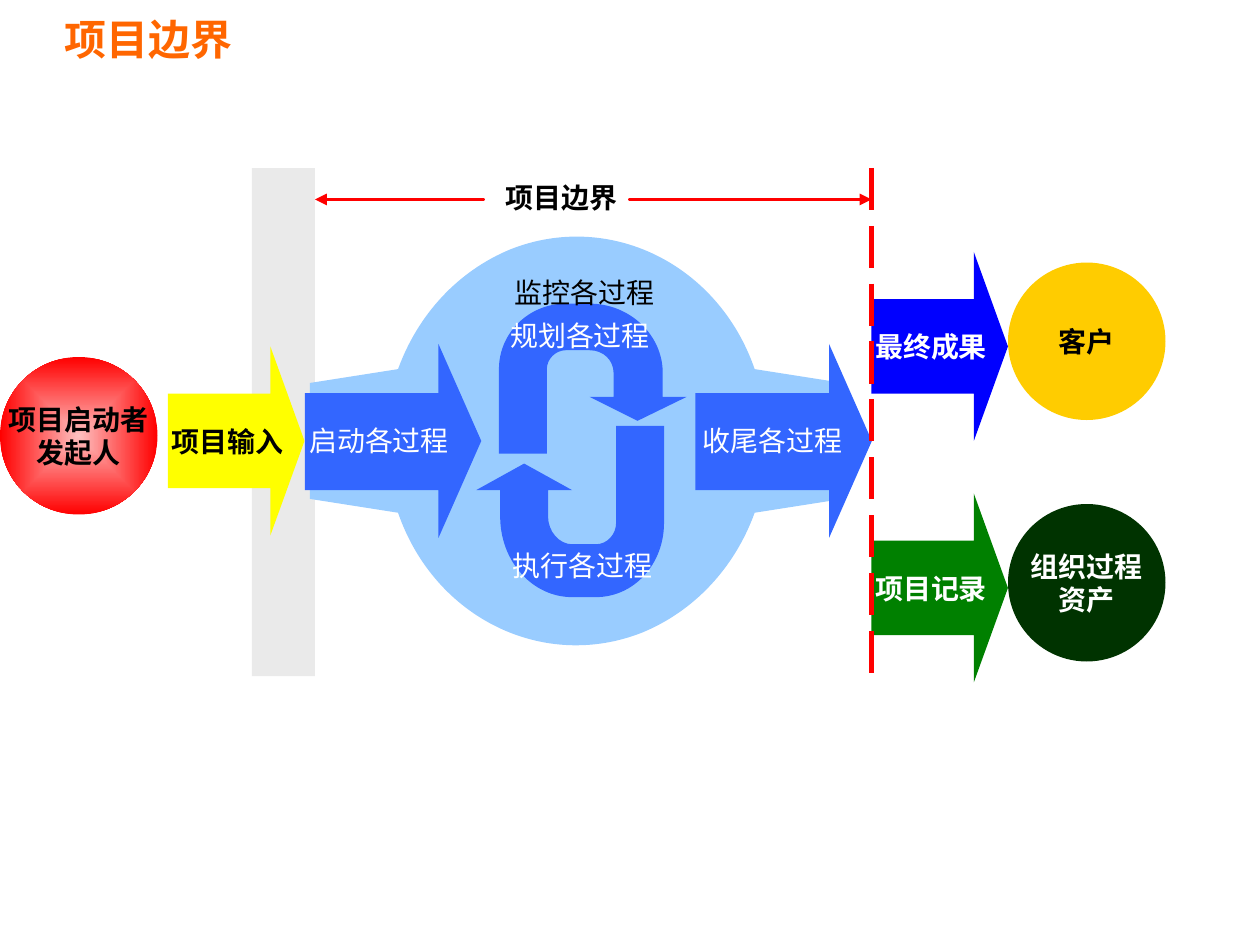
from lxml import etree
from pptx import Presentation
from pptx.dml.color import RGBColor
from pptx.enum.dml import MSO_LINE
from pptx.enum.shapes import MSO_CONNECTOR, MSO_SHAPE
from pptx.enum.text import MSO_ANCHOR, PP_ALIGN
from pptx.oxml import parse_xml
from pptx.oxml.ns import nsdecls, qn
from pptx.util import Inches, Pt

RECTANGLE, ELLIPSE, ARROW = MSO_SHAPE.RECTANGLE, MSO_SHAPE.OVAL, MSO_SHAPE.RIGHT_ARROW
STRAIGHT, LONG_DASH = MSO_CONNECTOR.STRAIGHT, MSO_LINE.LONG_DASH
LEFT, CENTER = PP_ALIGN.LEFT, PP_ALIGN.CENTER
MIDDLE, TOP = MSO_ANCHOR.MIDDLE, MSO_ANCHOR.TOP

THEME = {
    "title": "FF6600", "black": "000000", "white": "FFFFFF", "red": "FF0000",
    "pink": "FEC0C0", "band": "EAEAEA", "cycle": "99CCFF", "process": "3366FF",
    "input": "FFFF00", "result": "0000FF", "record": "008000",
    "customer": "FFCC00", "assets": "003300",
    "title_size": 24, "text_size": 16,
    "label_font": "Arial", "process_font": "Noto Sans CJK SC",
}

COLUMNS, ROWS = 120, 90
WIDTH, HEIGHT = Inches(10), Inches(7.5)
NODE_SIZE = {ARROW: (13, 18), ELLIPSE: (15, 15)}
BOUNDARY_COLUMN = 83

TITLE = "项目边界"
BOUNDARY_LABEL = "项目边界"
NODES = [
    (ARROW, 16, 33, "项目输入", "input", "black"),
    (ELLIPSE, 0, 34, "项目启动者\n发起人", "red", "black"),
    (ARROW, BOUNDARY_COLUMN, 24, "最终成果", "result", "white"),
    (ARROW, BOUNDARY_COLUMN, 47, "项目记录", "record", "white"),
    (ELLIPSE, 96, 25, "客户", "customer", "black"),
    (ELLIPSE, 96, 48, "组织过程\n资产", "assets", "white"),
]
PROCESS_LABELS = [
    (29.45, 40.3, "启动各过程", "white"),
    (66.9, 40.3, "收尾各过程", "white"),
    (48.6, 30.3, "规划各过程", "white"),
    (48.85, 52.2, "执行各过程", "white"),
    (49, 26.2, "监控各过程", "black"),
]
BOUNDARY_ARROWS = [(30, 46), (BOUNDARY_COLUMN, 60)]

CYCLE_CENTER = (4.575, 3.5)
CYCLE_HALF = [
    (5.99, 2.93), (5.7, 2.09, 4.83, 1.67, 4.05, 1.98),
    (3.64, 2.15, 3.32, 2.49, 3.16, 2.93), (2.46, 3.04), (2.46, 3.96),
]
EXECUTING_TURN = [
    (4.73, 4.32), (4.82, 4.32, 4.89, 4.24, 4.89, 4.15), (4.89, 3.38),
    (5.27, 3.38), (5.27, 4.15), (5.27, 4.48, 5.03, 4.74, 4.73, 4.74),
    (4.54, 4.74), (4.23, 4.74, 3.97, 4.46, 3.97, 4.1), (3.97, 3.89),
    (3.78, 3.89), (4.16, 3.68), (4.54, 3.89), (4.35, 3.89), (4.35, 4.1),
    (4.35, 4.22, 4.44, 4.32, 4.54, 4.32),
]
PLANNING_TURN = [
    (4.49, 2.78), (4.41, 2.78, 4.34, 2.85, 4.34, 2.93), (4.34, 3.6),
    (3.96, 3.6), (3.96, 2.93), (3.96, 2.64, 4.2, 2.41, 4.49, 2.41),
    (4.68, 2.41), (5, 2.41, 5.26, 2.66, 5.26, 2.96), (5.26, 3.15),
    (5.45, 3.15), (5.06, 3.34), (4.68, 3.15), (4.87, 3.15), (4.87, 2.96),
    (4.87, 2.86, 4.79, 2.78, 4.68, 2.78),
]
PROCESS_ARROW_LEFTS = (2.42, 5.52)


def color(name):
    return RGBColor.from_string(THEME[name])


def column(value):
    return round(WIDTH * value / COLUMNS)


def row(value):
    return round(HEIGHT * value / ROWS)


def box(left, top, width, height):
    return column(left), row(top), column(width), row(height)


def paint(shape, fill):
    shape.shadow.inherit = False
    shape.fill.solid()
    shape.fill.fore_color.rgb = color(fill)
    shape.line.fill.background()


def write(shape, text, ink, size="text_size", font="label_font", bold=True,
          align=CENTER, anchor=MIDDLE, wrap=False, margins=(0.1, 0.05)):
    frame = shape.text_frame
    frame.text = text
    frame.word_wrap = wrap
    frame.vertical_anchor = anchor
    frame.margin_left = frame.margin_right = Inches(margins[0])
    frame.margin_top = frame.margin_bottom = Inches(margins[1])
    for paragraph in frame.paragraphs:
        paragraph.alignment = align
        for run in paragraph.runs:
            run.font.name = THEME[font]
            run.font.size = Pt(THEME[size])
            run.font.bold = bold
            run.font.color.rgb = color(ink)


def add_line(slide, start, end, width):
    connector = slide.shapes.add_connector(
        STRAIGHT, column(start[0]), row(start[1]), column(end[0]), row(end[1]))
    connector.line.color.rgb = color("red")
    connector.line.width = Pt(width)
    etree.SubElement(connector._element.spPr, qn("a:effectLst"))
    return connector


def add_outline(slide, outline, fill):
    points = [
        (Inches(segment[index]), Inches(segment[index + 1]))
        for segment in outline for index in range(0, len(segment), 2)]
    builder = slide.shapes.build_freeform(*points[0])
    builder.add_line_segments(points[1:], close=True)
    shape = builder.convert_to_shape()
    paint(shape, fill)
    lines = iter(list(shape._element.iter(qn("a:lnTo"))))
    for segment in outline[1:]:
        line = next(lines)
        if len(segment) == 6:
            curve = etree.Element(qn("a:cubicBezTo"))
            line.addprevious(curve)
            for control in (line, next(lines), next(lines)):
                curve.append(control[0])
                control.getparent().remove(control)


def process_arrow(left):
    shoulder, tip = left + 1.06, left + 1.4
    return [(left, 3.89), (shoulder, 3.89), (shoulder, 4.27), (tip, 3.5),
            (shoulder, 2.73), (shoulder, 3.12), (left, 3.12)]


def add_radial_gradient(shape):
    properties = shape._element.spPr
    solid = properties.find(qn("a:solidFill"))
    gradient = parse_xml(
        f'<a:gradFill {nsdecls("a")} rotWithShape="1"><a:gsLst>'
        f'<a:gs pos="0"><a:srgbClr val="{THEME["pink"]}"/></a:gs>'
        f'<a:gs pos="100000"><a:srgbClr val="{THEME["red"]}"/></a:gs></a:gsLst>'
        '<a:path path="rect"><a:fillToRect l="50000" t="50000" r="50000" b="50000"/>'
        '</a:path></a:gradFill>')
    properties.replace(solid, gradient)


def main():
    presentation = Presentation()
    presentation.slide_width, presentation.slide_height = WIDTH, HEIGHT
    slide = presentation.slides.add_slide(presentation.slide_layouts[6])
    shapes = slide.shapes

    paint(shapes.add_shape(RECTANGLE, *box(24, 16, 6, 48.4)), "band")
    for start, end in BOUNDARY_ARROWS:
        outline = add_line(slide, (start, 19), (end, 19), 2.25).line._get_or_add_ln()
        outline.set("cap", "rnd")
        etree.SubElement(outline, qn("a:headEnd"), type="triangle")
    write(shapes.add_textbox(*box(5, 0, 55, 7.4)), TITLE, "title",
          size="title_size", align=LEFT, wrap=True)

    opposite = [
        tuple(2 * CYCLE_CENTER[index % 2] - value for index, value in enumerate(segment))
        for segment in CYCLE_HALF]
    add_outline(slide, CYCLE_HALF + [(3.16, 4.07)] + opposite[1:], "cycle")
    for left in PROCESS_ARROW_LEFTS:
        add_outline(slide, process_arrow(left), "process")
    for turn in (EXECUTING_TURN, PLANNING_TURN):
        add_outline(slide, turn, "process")
    for left, top, text, ink in PROCESS_LABELS:
        write(shapes.add_textbox(*box(left, top, 13.3, 3.2)), text, ink,
              font="process_font", bold=False, anchor=TOP, margins=(0, 0))
    write(shapes.add_textbox(*box(47, 16.6, 20, 4.4)), BOUNDARY_LABEL, "black",
          align=LEFT, anchor=TOP, wrap=True)

    for kind, left, top, text, fill, ink in NODES:
        shape = shapes.add_shape(kind, *box(left, top, *NODE_SIZE[kind]))
        paint(shape, fill)
        if kind == ARROW:
            shape.adjustments[0], shape.adjustments[1] = 0.5, 0.25
        if fill == "red":
            add_radial_gradient(shape)
        write(shape, text, ink)

    boundary = add_line(slide, (BOUNDARY_COLUMN, 16), (BOUNDARY_COLUMN, 65), 3)
    boundary.line.dash_style = LONG_DASH
    presentation.save("out.pptx")


if __name__ == "__main__":
    main()
